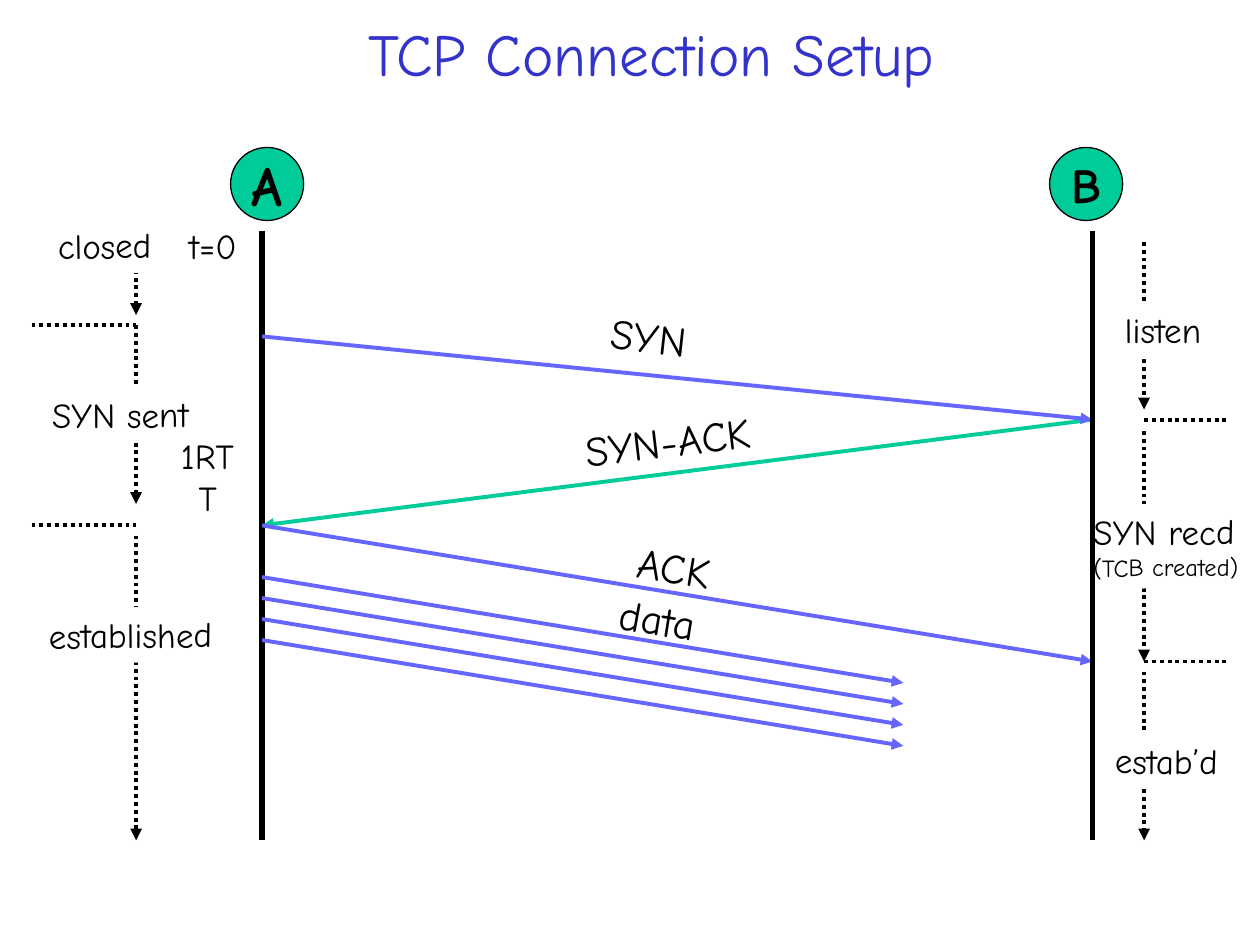
import pptx
import pptx.util
import pptx.dml.color
import pptx.enum.dml
import pptx.enum.shapes
import pptx.enum.text
import pptx.oxml

Inches, Pt = pptx.util.Inches, pptx.util.Pt
SHAPE = pptx.enum.shapes.MSO_SHAPE
ALIGN = pptx.enum.text.PP_ALIGN
ANCHOR = pptx.enum.text.MSO_ANCHOR
DOTTED = pptx.enum.dml.MSO_LINE.ROUND_DOT

THEME = {
    "font": "Comic Neue",
    "black": "000000", "white": "FFFFFF", "title": "3333CC",
    "send": "6666FF", "reply": "00CC99",
    "title_size": 34, "message_size": 24, "state_size": 20, "note_size": 14,
    "lifeline": 3, "arrow": 2.25, "outline": 0.75,
}

A_X, B_X = 2.08, 8.67              # lifelines
A_STATE_X, B_STATE_X = 1.08, 9.08  # state timelines
TOP, BOTTOM = 1.83, 6.67
DATA_END_X, DATA_TOP, DATA_DROP, DATA_GAP, DATA_COUNT = 7.17, 4.58, 0.84, 1 / 6, 4

TITLE = ("TCP Connection Setup", (0.92, 0.08, 8.5, 0.67))
# name, left, type size
HOSTS = [("A", 1.83, 32), ("B", 8.33, 28)]
# start, end, colour
MESSAGES = [
    ((B_X, 3.33), (A_X, 4.17), "reply"),
    ((A_X, 2.67), (B_X, 3.33), "send"),
    ((A_X, 4.17), (B_X, 5.25), "send"),
]
# text, box, rotation
MESSAGE_LABELS = [
    ("SYN-ACK", (2.06, 3.25, 6.48, 0.5), -6.8),
    ("SYN", (3.49, 2.42, 3.32, 0.5), 6.3),
    ("ACK", (2.37, 4.25, 5.96, 0.5), 9.4),
    ("data", (3.94, 4.66, 2.56, 0.5), 9),
]
# x, top, bottom
STATE_SPANS = [
    (A_STATE_X, 1.83, 2.5), (A_STATE_X, 2.58, 4), (A_STATE_X, 4.25, BOTTOM),
    (B_STATE_X, 1.92, 3.25), (B_STATE_X, 3.42, 5.25), (B_STATE_X, 5.33, BOTTOM),
]
# left, right, y
STATE_CHANGES = [
    (0.25, A_STATE_X, 2.58), (0.25, A_STATE_X, 4.17),
    (B_STATE_X, 9.75, 3.33), (B_STATE_X, 9.75, 5.25),
]
# lines, box, rotation, alignment
STATES = [
    (["closed"], (0.08, 1.73, 1.5, 0.44), -1, ALIGN.CENTER),
    (["SYN sent"], (0.08, 3.07, 1.75, 0.44), -0.4, ALIGN.CENTER),
    (["established"], (0.16, 4.82, 1.75, 0.44), -0.5, ALIGN.CENTER),
    (["listen"], (8.83, 2.4, 1.16, 0.44), -0.3, ALIGN.LEFT),
    (["SYN recd", "(TCB created)"], (8.58, 4, 1.5, 0.67), -0.3, ALIGN.LEFT),
    (["estab’d"], (8.75, 5.82, 1.16, 0.44), 0.5, ALIGN.LEFT),
]
# text, box, wraps
TIMES = [("t=0", (1.4, 1.73, 0.58, 0.44), False),
         ("1RTT", (1.27, 3.4, 0.76, 0.44), True)]


def color(name):
    return pptx.dml.color.RGBColor.from_string(THEME[name])


def add_line(slide, start, end, tint="black", width="arrow", dotted=False, arrow=False):
    s = slide.shapes.add_connector(pptx.enum.shapes.MSO_CONNECTOR.STRAIGHT,
                                   *(Inches(v) for v in (*start, *end)))
    s.line.color.rgb = color(tint)
    s.line.width = Pt(THEME[width])
    if dotted:
        s.line.dash_style = DOTTED
    if arrow:
        ln = s.line._get_or_add_ln()
        ln.append(ln.makeelement(pptx.oxml.ns.qn("a:tailEnd"), {"type": "triangle"}))
    sp_pr = s._element.spPr
    sp_pr.append(sp_pr.makeelement(pptx.oxml.ns.qn("a:effectLst"), {}))


def write(s, lines, sizes, tint="black", align=ALIGN.CENTER, anchor=ANCHOR.TOP,
          wrap=True, bold=False):
    tf = s.text_frame
    tf.word_wrap = wrap
    tf.vertical_anchor = anchor
    tf.text = "\n".join(lines)
    for p, size in zip(tf.paragraphs, sizes):
        p.alignment = align
        p.font.name = THEME["font"]
        p.font.size = Pt(size)
        p.font.bold = bold
        p.font.color.rgb = color(tint)


def add_text(slide, text, box, size, rotation=0, **style):
    s = slide.shapes.add_textbox(*map(Inches, box))
    s.rotation = rotation
    write(s, [text], [size], **style)


def add_filled(slide, kind, box, fill):
    s = slide.shapes.add_shape(kind, *map(Inches, box))
    s.shadow.inherit = False
    s.fill.solid()
    s.fill.fore_color.rgb = color(fill)
    return s


def add_state(slide, lines, box, rotation, align):
    s = add_filled(slide, SHAPE.RECTANGLE, box, "white")
    s.line.fill.background()
    s.rotation = rotation
    write(s, lines, [THEME["state_size"], THEME["note_size"]], align=align)


def add_host(slide, name, left, size):
    s = add_filled(slide, SHAPE.OVAL, (left, 1.17, 0.58, 0.58), "reply")
    s.line.color.rgb = color("black")
    s.line.width = Pt(THEME["outline"])
    write(s, [name], [size], anchor=ANCHOR.MIDDLE, wrap=False, bold=True)


def main():
    prs = pptx.Presentation()
    prs.slide_width, prs.slide_height = Inches(10), Inches(7.5)
    slide = prs.slides.add_slide(prs.slide_layouts[6])

    add_text(slide, *TITLE, THEME["title_size"], tint="title", anchor=ANCHOR.MIDDLE)
    add_line(slide, (A_X, TOP), (A_X, BOTTOM), width="lifeline")
    for start, end, tint in MESSAGES:
        add_line(slide, start, end, tint, arrow=True)
    for i in range(DATA_COUNT):
        y = DATA_TOP + i * DATA_GAP
        add_line(slide, (A_X, y), (DATA_END_X, y + DATA_DROP), "send", arrow=True)
    for text, box, rotation in MESSAGE_LABELS:
        add_text(slide, text, box, THEME["message_size"], rotation)

    for x, top, bottom in STATE_SPANS:
        add_line(slide, (x, top), (x, bottom), dotted=True, arrow=True)
    for left, right, y in STATE_CHANGES:
        add_line(slide, (left, y), (right, y), dotted=True)
    for state in STATES:
        add_state(slide, *state)
    for text, box, wrap in TIMES:
        add_text(slide, text, box, THEME["state_size"], wrap=wrap)

    for host in HOSTS:
        add_host(slide, *host)
    # The SYN recd box overlaps this lifeline, so the line goes on top
    add_line(slide, (B_X, TOP), (B_X, BOTTOM), width="lifeline")
    prs.save("out.pptx")


if __name__ == "__main__":
    main()
